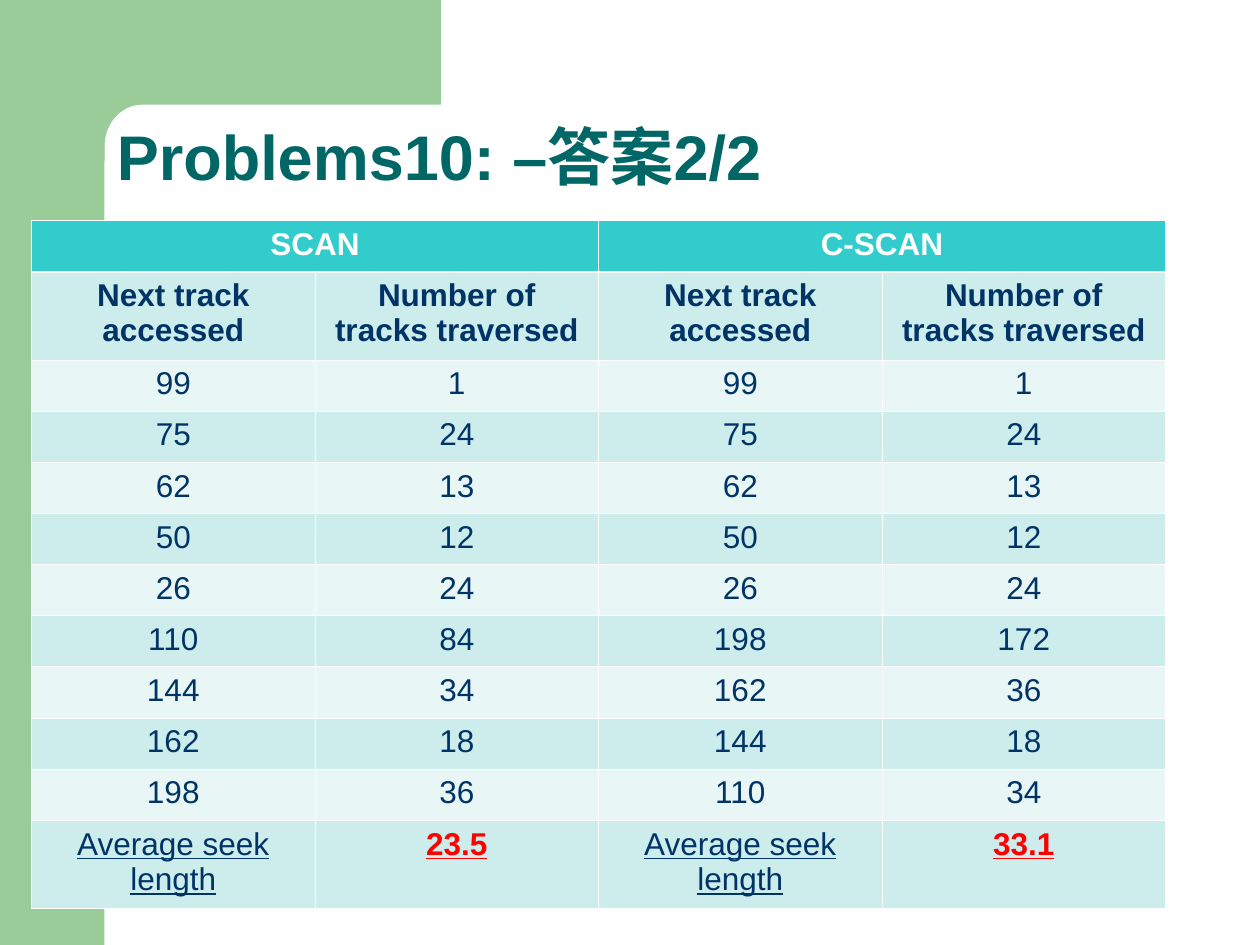
from math import cos, pi, sin

from lxml.etree import SubElement
from pptx import Presentation
from pptx.dml.color import RGBColor
from pptx.enum.shapes import MSO_SHAPE
from pptx.enum.text import MSO_ANCHOR, PP_ALIGN
from pptx.oxml import parse_xml
from pptx.oxml.ns import nsdecls, qn
from pptx.util import Inches, Pt

GREEN = RGBColor(0x99, 0xCC, 0x99)
TEAL = RGBColor(0x00, 0x66, 0x66)
HEAD = RGBColor(0x33, 0xCC, 0xCC)
DARK = RGBColor(0xCD, 0xEC, 0xEC)
LIGHT = RGBColor(0xE8, 0xF6, 0xF6)
NAVY = RGBColor(0x00, 0x33, 0x66)
RED = RGBColor(0xFF, 0x00, 0x00)
WHITE = RGBColor(0xFF, 0xFF, 0xFF)

FONT = "Arial"
THIN, THICK = Pt(0.45), Pt(1.47)
ROWS = [
    ["SCAN", "", "C-SCAN", ""],
    ["Next track accessed", "Number of tracks traversed"] * 2,
    ["99", "1", "99", "1"],
    ["75", "24", "75", "24"],
    ["62", "13", "62", "13"],
    ["50", "12", "50", "12"],
    ["26", "24", "26", "24"],
    ["110", "84", "198", "172"],
    ["144", "34", "162", "36"],
    ["162", "18", "144", "18"],
    ["198", "36", "110", "34"],
    ["Average seek length", "23.5", "Average seek length", "33.1"],
]


def paint(shape, color):
    """Give a shape a flat fill with no line or shadow."""
    shape.shadow.inherit = False
    shape.fill.solid()
    shape.fill.fore_color.rgb = color
    shape.line.fill.background()


def add_frame(slide, left, top, width, height):
    """Draw the green side band and the top block with its rounded inner corner."""
    band = Inches(0.83)
    side = slide.shapes.add_shape(MSO_SHAPE.RECTANGLE, left, top, band, height)
    paint(side, GREEN)
    start, end, low = left + Inches(0.5), left + width, top + Inches(1.28)
    wide, high = Inches(0.3), Inches(0.33)
    mid_x, mid_y = left + band + wide, top + band + high
    turns = [pi / 2 * step / 12 for step in range(13)]
    curve = [(mid_x - wide * sin(a), mid_y - high * cos(a)) for a in turns]
    pen = slide.shapes.build_freeform(start, top)
    pen.add_line_segments(
        [(end, top), (end, top + band), *curve, (left + band, low), (start, low)]
    )
    paint(pen.convert_to_shape(), GREEN)


def add_title(slide, left, top, width, height):
    """Place the slide title at the foot of its box."""
    frame = slide.shapes.add_textbox(left, top, width, height).text_frame
    frame.word_wrap = True
    frame.vertical_anchor = MSO_ANCHOR.BOTTOM
    para = frame.paragraphs[0]
    para.text = "Problems10: –答案2/2"
    para.line_spacing = 0.9
    font = para.font
    font.name, font.size, font.bold = FONT, Pt(36), True
    font.color.rgb = TEAL
    props = font._element
    SubElement(props, qn("a:ea")).set("typeface", FONT)


def add_edges(cell, top, base):
    """Draw white borders around a cell."""
    props = cell._tc.get_or_add_tcPr()
    sides = {"lnL": THIN, "lnR": THIN, "lnT": top, "lnB": base}
    for spot, (tag, width) in enumerate(sides.items()):
        edge = parse_xml(
            f'<a:{tag} {nsdecls("a")} w="{width}"><a:solidFill>'
            f'<a:srgbClr val="{WHITE}"/></a:solidFill></a:{tag}>'
        )
        props.insert(spot, edge)


def fill_cell(cell, text, row, col):
    """Write one cell and style it by its place in the table."""
    last = row == len(ROWS) - 1
    total = last and col % 2 == 1
    cell.fill.solid()
    cell.fill.fore_color.rgb = HEAD if row == 0 else DARK if row % 2 else LIGHT
    add_edges(cell, THICK if row == 1 else THIN, THICK if row == 0 else THIN)
    para = cell.text_frame.paragraphs[0]
    para.text = text
    para.alignment = PP_ALIGN.CENTER
    font = para.font
    font.name, font.size = FONT, Pt(18)
    font.bold = row < 2 or total
    font.underline = last
    font.color.rgb = WHITE if row == 0 else RED if total else NAVY


def add_grid(slide, left, top, width, height):
    """Build the table that compares both seek orders."""
    count = len(ROWS)
    table = slide.shapes.add_table(count, 4, left, top, width, height).table
    tall = Inches(0.7)
    short = (height - 2 * tall) // (count - 2)
    for row, texts in enumerate(ROWS):
        table.rows[row].height = tall if row in (1, count - 1) else short
        for col, text in enumerate(texts):
            fill_cell(table.cell(row, col), text, row, col)
    for col in (0, 2):
        table.cell(0, col).merge(table.cell(0, col + 1))


def main():
    """Build and save the slide."""
    deck = Presentation()
    deck.slide_width, deck.slide_height = Inches(10), Inches(7.5)
    slide = deck.slides.add_slide(deck.slide_layouts[6])
    add_frame(slide, 0, 0, Inches(3.5), Inches(7.5))
    add_title(slide, Inches(0.83), Inches(0.5), Inches(8.51), Inches(1.09))
    add_grid(slide, Inches(0.25), Inches(1.75), Inches(9), Inches(5.46))
    deck.save("out.pptx")


if __name__ == "__main__":
    main()
